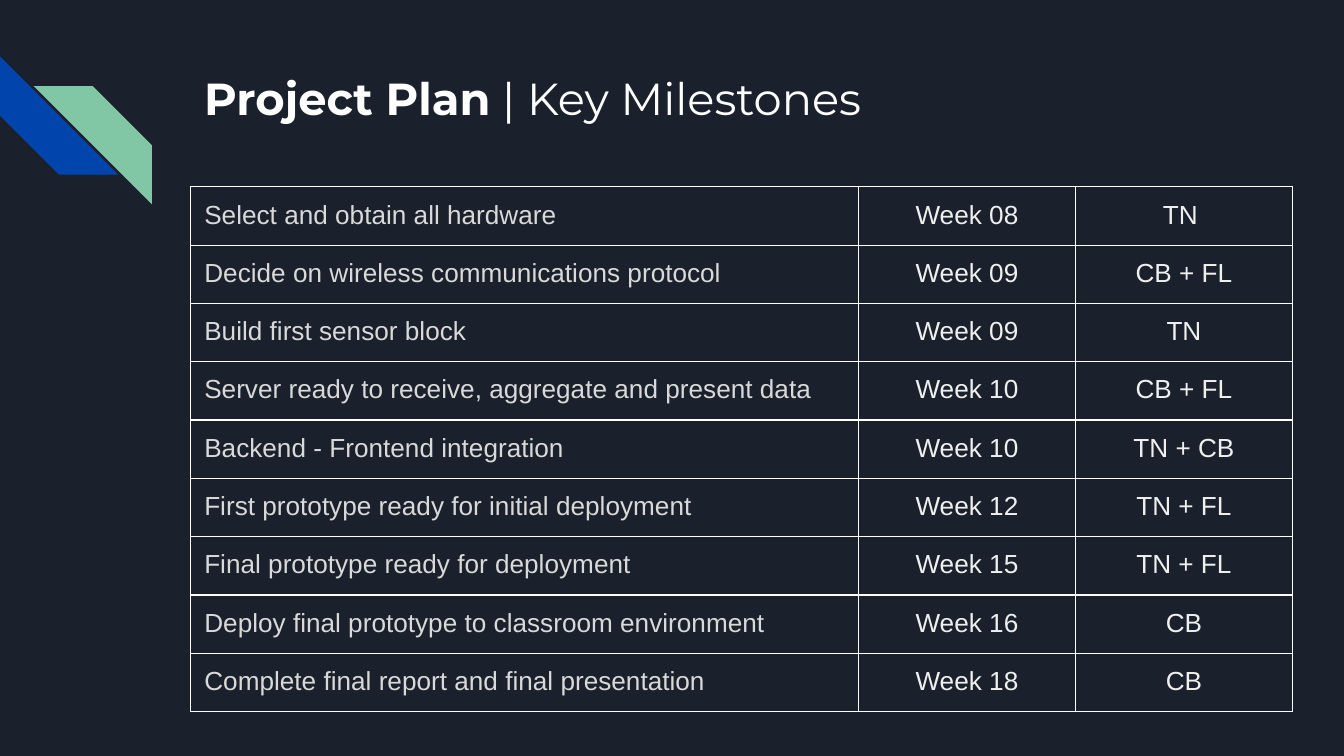
from lxml import etree
from pptx import Presentation
from pptx.dml.color import RGBColor
from pptx.enum.shapes import MSO_SHAPE
from pptx.enum.text import MSO_ANCHOR, PP_ALIGN
from pptx.oxml.ns import qn
from pptx.util import Inches, Pt

STRIPE = MSO_SHAPE.DIAGONAL_STRIPE
LEFT, CENTER = PP_ALIGN.LEFT, PP_ALIGN.CENTER
TOP = MSO_ANCHOR.TOP

COLORS = {
    "background": "1B212C",
    "blue": "0145AC",
    "green": "82C7A5",
    "white": "FFFFFF",
    "task": "D9D9D9",
    "detail": "EFEFEF",
}
SLIDE_WIDTH = 10
SLIDE_HEIGHT = SLIDE_WIDTH * 9 / 16
INSET = Inches(0.1)
BORDER_WIDTH = Pt(0.75)

MILESTONES = [
    ("Select and obtain all hardware", "Week 08", "TN "),
    ("Decide on wireless communications protocol", "Week 09", "CB + FL"),
    ("Build first sensor block", "Week 09", "TN"),
    ("Server ready to receive, aggregate and present data", "Week 10", "CB + FL"),
    ("Backend - Frontend integration", "Week 10", "TN + CB"),
    ("First prototype ready for initial deployment", "Week 12", "TN + FL"),
    ("Final prototype ready for deployment", "Week 15", "TN + FL"),
    ("Deploy final prototype to classroom environment", "Week 16", "CB"),
    ("Complete final report and final presentation", "Week 18", "CB"),
]
# width, alignment and text colour of the task, week and owner columns
COLUMNS = [(4.97, LEFT, "task"), (1.61, CENTER, "detail"), (1.62, CENTER, "detail")]
ROW_HEIGHT, SHORT_ROW_HEIGHT = 0.43, 0.37
SHORT_ROWS = (3, 7)


def rgb(name):
    return RGBColor.from_string(COLORS[name])


def add_run(paragraph, text, size, font, color, bold=False):
    run = paragraph.add_run()
    run.text = text
    run.font.size = Pt(size)
    run.font.name = font
    run.font.bold = bold
    run.font.color.rgb = rgb(color)


def add_stripes(slide, left, top):
    """Two interlocking diagonal stripes at the slide's edge."""
    size = Inches(0.88)
    stripes = slide.shapes.add_group_shape().shapes

    def add_stripe(dx, dy, color):
        stripe = stripes.add_shape(
            STRIPE, Inches(left + dx), Inches(top + dy), size, size)
        stripe.adjustments[0] = 0.5
        stripe.shadow.inherit = False
        stripe.fill.solid()
        stripe.fill.fore_color.rgb = rgb(color)
        stripe.line.fill.background()
        return stripe

    add_stripe(0, 0, "blue").rotation = 270
    green_stripe = add_stripe(0.25, 0.22, "green")
    green_stripe.element.spPr.find(qn("a:xfrm")).set("flipH", "1")


def add_title(slide, left, top, width, height):
    title = slide.shapes.add_textbox(
        Inches(left), Inches(top), Inches(width), Inches(height))
    frame = title.text_frame
    frame.word_wrap = True
    frame.vertical_anchor = TOP
    frame.margin_left = frame.margin_right = INSET
    frame.margin_top = frame.margin_bottom = INSET
    paragraph = frame.paragraphs[0]
    add_run(paragraph, "Project Plan", 24, "Montserrat", "white", bold=True)
    add_run(paragraph, " | Key Milestones", 24, "Montserrat", "white")


def outline_cell(cell):
    properties = cell._tc.get_or_add_tcPr()
    for side in ("a:lnL", "a:lnR", "a:lnT", "a:lnB"):
        border = etree.SubElement(properties, qn(side), w=str(BORDER_WIDTH))
        fill = etree.SubElement(border, qn("a:solidFill"))
        etree.SubElement(fill, qn("a:srgbClr"), val=COLORS["white"])


def add_milestones(slide, left, top, width, height):
    """Milestone table; its rows and columns grow beyond the given frame."""
    frame = slide.shapes.add_table(
        len(MILESTONES), len(COLUMNS), Inches(left), Inches(top),
        Inches(width), Inches(height))
    table = frame.table
    table.first_row = table.horz_banding = False

    for column, (column_width, _, _) in zip(table.columns, COLUMNS):
        column.width = Inches(column_width)
    for i, (row, milestone) in enumerate(zip(table.rows, MILESTONES)):
        row.height = Inches(SHORT_ROW_HEIGHT if i in SHORT_ROWS else ROW_HEIGHT)
        for cell, text, (_, alignment, color) in zip(row.cells, milestone, COLUMNS):
            cell.margin_left = cell.margin_right = INSET
            cell.margin_top = cell.margin_bottom = INSET
            outline_cell(cell)
            cell.fill.background()
            paragraph = cell.text_frame.paragraphs[0]
            paragraph.alignment = alignment
            add_run(paragraph, text, 14, "Arial", color)

    # Sizing rows and columns resizes the frame, so set it last
    frame.width, frame.height = Inches(width), Inches(height)


def main():
    presentation = Presentation()
    presentation.slide_width = Inches(SLIDE_WIDTH)
    presentation.slide_height = Inches(SLIDE_HEIGHT)
    slide = presentation.slides.add_slide(presentation.slide_layouts[6])
    slide.background.fill.solid()
    slide.background.fill.fore_color.rgb = rgb("background")

    add_stripes(slide, 0, 0.42)
    add_title(slide, 1.42, 0.43, 7.7, 1)
    add_milestones(slide, 1.42, 1.39, 3.28, 3.28)
    presentation.save("out.pptx")


if __name__ == "__main__":
    main()
